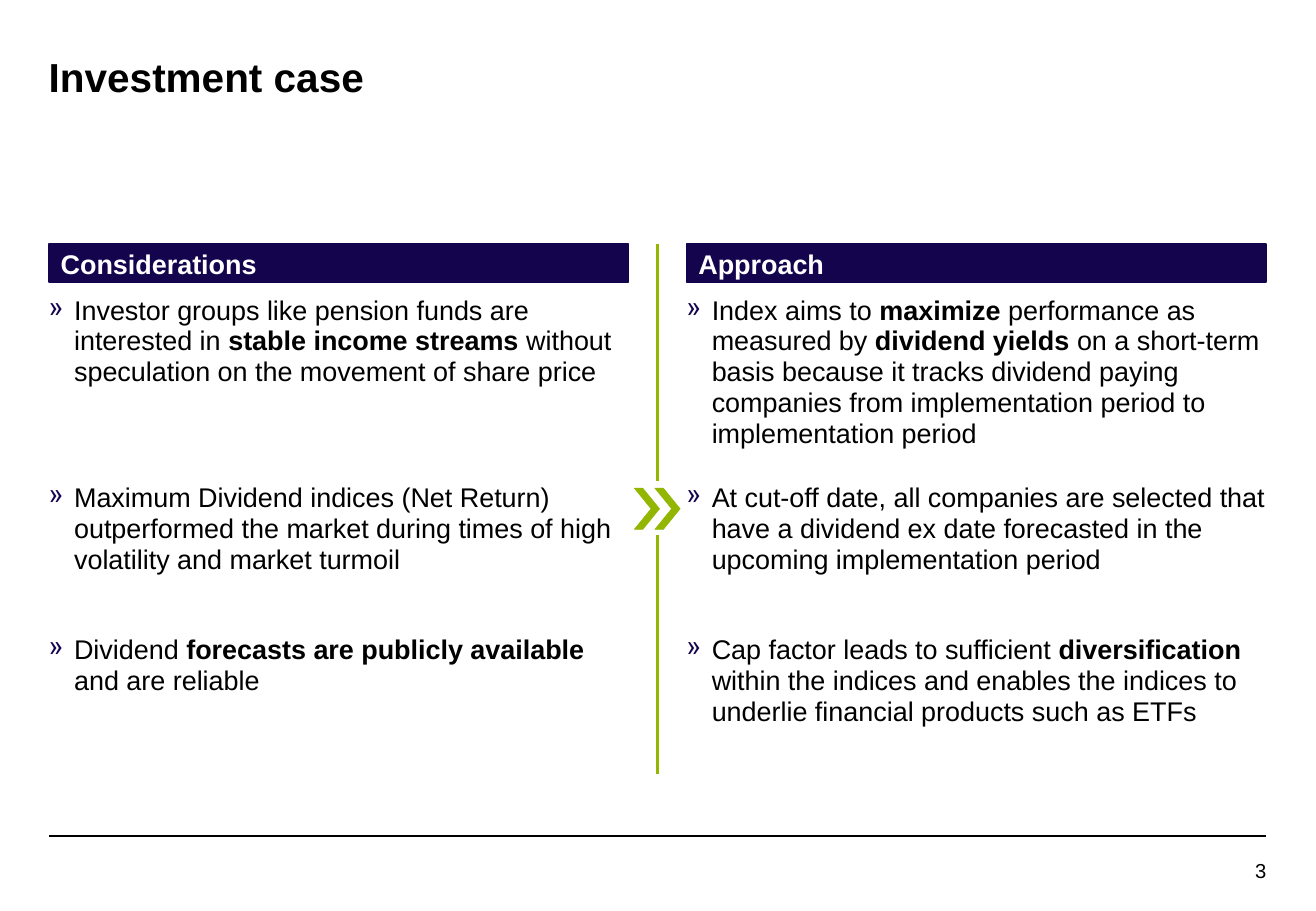
import pptx
import pptx.util
import pptx.dml.color
import pptx.enum.shapes
import pptx.enum.text
import pptx.oxml.ns
from lxml import etree

Cm, Pt = pptx.util.Cm, pptx.util.Pt
RGBColor = pptx.dml.color.RGBColor
MSO_SHAPE = pptx.enum.shapes.MSO_SHAPE
PP_ALIGN = pptx.enum.text.PP_ALIGN
qn = pptx.oxml.ns.qn

BLACK = RGBColor(0x00, 0x00, 0x00)
WHITE = RGBColor(0xFF, 0xFF, 0xFF)
NAVY = RGBColor(0x14, 0x04, 0x4E)
GREEN = RGBColor(0x92, 0xB6, 0x02)

MARGIN, RIGHT_EDGE = 1.02, 26.47
COLUMN_W = 12.12
HEADER_Y = 5.11
ROW_Y = (6.18, 10.1, 13.28)
ROW_H = 1.95
DIVIDER_X = 13.74
CHEVRON_W, CHEVRON_H, CHEVRON_ARM = 0.53, 0.86, 0.18

# Column heading and its points; text between ** marks is bold
COLUMNS = [
    (MARGIN, "Considerations", [
        "Investor groups like pension funds are interested in **stable income streams **"
        "without speculation on the movement of share price",
        "Maximum Dividend indices (Net Return) outperformed the market during times of "
        "high volatility and market turmoil",
        "Dividend **forecasts are publicly available **and are reliable",
    ]),
    (RIGHT_EDGE - COLUMN_W, "Approach", [
        "Index aims to **maximize** performance as measured by **dividend yields **"
        "on a short-term basis because it tracks dividend paying companies from "
        "implementation period to implementation period",
        "At cut-off date, all companies are selected that have a dividend ex date "
        "forecasted in the upcoming implementation period",
        "Cap factor leads to sufficient **diversification** within the indices and "
        "enables the indices to underlie financial products such as ETFs",
    ]),
]


class SlideBuilder:
    font = "Arial"
    body_size = 16

    def __init__(self, slide):
        self.slide = slide
        self.shapes = slide.shapes

    def frame(self, sp, inset=0):
        tf = sp.text_frame
        tf.word_wrap = True
        tf.margin_left = Cm(inset)
        tf.margin_top = tf.margin_right = tf.margin_bottom = 0
        return tf

    def fill_paragraph(self, p, text, size, color=BLACK, bold=None, align=PP_ALIGN.LEFT):
        p.font.name, p.font.size, p.font.bold = self.font, Pt(size), bold
        p.font.color.rgb = color
        p.alignment = align
        for i, part in enumerate(text.split("**")):
            if part:
                r = p.add_run()
                r.text = part
                if i % 2:
                    r.font.bold = True

    def text(self, x, y, w, h, text, size, **style):
        sp = self.shapes.add_textbox(Cm(x), Cm(y), Cm(w), Cm(h))
        p = self.frame(sp).paragraphs[0]
        self.fill_paragraph(p, text, size, **style)
        return p

    def bullet(self, x, y, w, h, text):
        p = self.text(x, y, w, h, text, self.body_size)
        p.line_spacing = 0.95
        pPr = p._p.get_or_add_pPr()
        pPr.set("marL", str(Cm(0.53)))
        pPr.set("indent", str(-Cm(0.53)))
        bu_clr = etree.Element(qn("a:buClr"))
        etree.SubElement(bu_clr, qn("a:srgbClr"), val=str(NAVY))
        bu_char = etree.Element(qn("a:buChar"), char="»")
        pPr.find(qn("a:lnSpc")).addnext(bu_clr)
        bu_clr.addnext(bu_char)

    def paint(self, sp, color, line_width):
        sp.shadow.inherit = False
        sp.fill.solid()
        sp.fill.fore_color.rgb = color
        sp.line.color.rgb = color
        sp.line.width = Pt(line_width)

    def box(self, x, y, w, h, color, line_width):
        sp = self.shapes.add_shape(MSO_SHAPE.RECTANGLE, Cm(x), Cm(y), Cm(w), Cm(h))
        self.paint(sp, color, line_width)
        return sp

    def header(self, x, y, w, h, text):
        sp = self.box(x, y, w, h, NAVY, 1)
        tf = self.frame(sp, inset=0.25)
        tf.vertical_anchor = pptx.enum.text.MSO_ANCHOR.MIDDLE
        self.fill_paragraph(tf.paragraphs[0], text, self.body_size, color=WHITE, bold=True)

    def line(self, x1, y1, x2, y2, color, width):
        cxn = self.shapes.add_connector(
            pptx.enum.shapes.MSO_CONNECTOR.STRAIGHT, Cm(x1), Cm(y1), Cm(x2), Cm(y2))
        cxn.line.color.rgb = color
        cxn.line.width = Pt(width)
        etree.SubElement(cxn._element.spPr, qn("a:effectLst"))

    def chevron(self, x, y, w, h, arm):
        outline = [(x + arm, y), (x + w, y + h / 2), (x + arm, y + h),
                   (x, y + h), (x + w - arm, y + h / 2)]
        fb = self.shapes.build_freeform(Cm(x), Cm(y))
        fb.add_line_segments([(Cm(px), Cm(py)) for px, py in outline], close=True)
        self.paint(fb.convert_to_shape(), GREEN, 0.25)


def main():
    prs = pptx.Presentation()
    prs.slide_width, prs.slide_height = Cm(27.51), Cm(19.05)
    s = SlideBuilder(prs.slides.add_slide(prs.slide_layouts[6]))

    # Title and footer
    s.text(MARGIN, 1.09, RIGHT_EDGE - MARGIN, 2.13, "Investment case", 24, bold=True)
    s.line(MARGIN, 17.48, RIGHT_EDGE, 17.48, BLACK, 1)
    number = s.text(RIGHT_EDGE - 2.26, 17.98, 2.26, 0.48, "3", 12, align=PP_ALIGN.RIGHT)
    number.line_spacing = 0.95

    # Divider with double chevron
    s.line(DIVIDER_X, HEADER_Y, DIVIDER_X, 16.18, GREEN, 1.5)
    s.box(13.26, 10.08, 0.94, 1.09, WHITE, 0.75)
    for i in range(2):
        s.chevron(13.26 + i * 0.43, 10.21, CHEVRON_W, CHEVRON_H, CHEVRON_ARM)

    # Columns
    for x, heading, points in COLUMNS:
        s.header(x, HEADER_Y, COLUMN_W, 0.79, heading)
        for y, point in zip(ROW_Y, points):
            s.bullet(x, y, COLUMN_W, ROW_H, point)

    prs.save("out.pptx")


if __name__ == "__main__":
    main()
